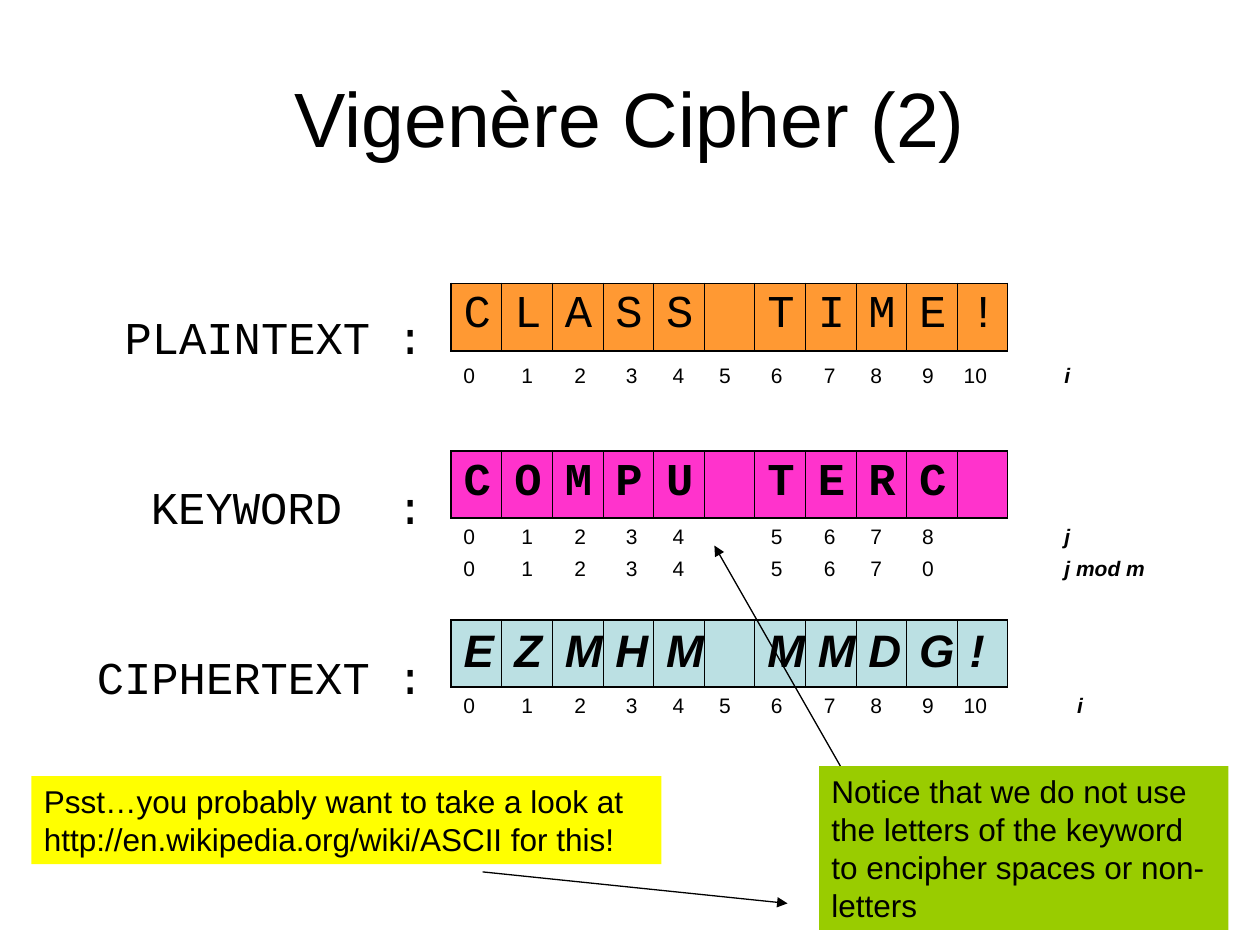
"""Build the Vigenère cipher slide with its letter tables, indices and notes."""
from lxml.etree import SubElement
from pptx import Presentation
from pptx.dml.color import RGBColor
from pptx.enum.shapes import MSO_CONNECTOR, MSO_SHAPE
from pptx.enum.text import MSO_ANCHOR, PP_ALIGN
from pptx.oxml.ns import qn
from pptx.util import Inches, Pt

COLORS = {
    "text": "000000",
    "plaintext": "FF9933",
    "keyword": "FF33CC",
    "ciphertext": "BBE0E3",
    "notice": "99CC00",
    "hint": "FFFF00",
}
COLUMN_COUNT = 11
TABLE_LEFT, TABLE_WIDTH, TABLE_HEIGHT = 3.58, 4.42, 0.53


def style_font(font, size, name="Arial", bold=False, italic=False):
    font.size, font.name, font.bold, font.italic = Pt(size), name, bold, italic
    font.color.rgb = RGBColor.from_string(COLORS["text"])


def add_tab_stops(paragraph, positions):
    tab_list = SubElement(paragraph._p.get_or_add_pPr(), qn("a:tabLst"))
    for position in positions:
        SubElement(tab_list, qn("a:tab"), pos=str(Inches(position)), algn="l")


presentation = Presentation()
presentation.slide_width, presentation.slide_height = Inches(10), Inches(7.5)
slide = presentation.slides.add_slide(presentation.slide_layouts[6])

title = slide.shapes.add_textbox(Inches(0.5), Inches(0.3), Inches(9), Inches(1.25))
title.text_frame.word_wrap = True
title.text_frame.vertical_anchor = MSO_ANCHOR.MIDDLE
paragraph = title.text_frame.paragraphs[0]
paragraph.text = "Vigenère Cipher (2)"
paragraph.alignment = PP_ALIGN.CENTER
style_font(paragraph.font, 44)

letter_rows = [
    ("ciphertext", 4.92, "EZMHM MMDG!", "Arial", True, True),
    ("keyword", 3.58, "COMPU TERC ", "Courier New", True, False),
    ("plaintext", 2.25, "CLASS TIME!", "Courier New", False, False),
]
for color, top, letters, font_name, bold, italic in letter_rows:
    table = slide.shapes.add_table(
        1, COLUMN_COUNT, Inches(TABLE_LEFT), Inches(top), Inches(TABLE_WIDTH), Inches(TABLE_HEIGHT)
    ).table
    table.first_row = table.horz_banding = False
    for index, letter in enumerate(letters):
        table.columns[index].width = Inches(TABLE_WIDTH / COLUMN_COUNT)
        cell = table.cell(0, index)
        paragraph = cell.text_frame.paragraphs[0]
        paragraph.text = letter.strip()
        style_font(paragraph.font, 26, font_name, bold, italic)
        borders = {
            "a:lnL": 1.08 if index == 0 else 0.45,
            "a:lnR": 1.08 if index == COLUMN_COUNT - 1 else 0.45,
            "a:lnT": 1.08,
            "a:lnB": 1.08,
        }
        for tag, width in borders.items():
            border = SubElement(cell._tc.get_or_add_tcPr(), qn(tag), w=str(Pt(width)))
            SubElement(SubElement(border, qn("a:solidFill")), qn("a:srgbClr"), val=COLORS["text"])
        cell.fill.solid()
        cell.fill.fore_color.rgb = RGBColor.from_string(COLORS[color])

labels = slide.shapes.add_textbox(Inches(0.67), Inches(2.33), Inches(8.67), Inches(3.17))
labels.text_frame.word_wrap = True
labels.text_frame.margin_top = Inches(0.12)
for index, label in enumerate(["\tPLAINTEXT\t:", "\t\tKEYWORD\t:", "CIPHERTEXT\t:"]):
    paragraph = labels.text_frame.add_paragraph() if index else labels.text_frame.paragraphs[0]
    paragraph.text = label
    paragraph.space_before = Pt(66 if index else 0)
    add_tab_stops(paragraph, [0.22, 0.43, 2.38])
    style_font(paragraph.font, 26, "Courier New")

arrows = [((6.67, 6.08), (5.67, 4.33)), ((3.83, 6.92), (6.25, 7.17))]
for start, end in arrows:
    arrow = slide.shapes.add_connector(
        MSO_CONNECTOR.STRAIGHT, *[Inches(value) for value in start + end]
    )
    arrow.line.color.rgb = RGBColor.from_string(COLORS["text"])
    arrow.line.width = Pt(0.75)
    SubElement(arrow.line._get_or_add_ln(), qn("a:tailEnd"), type="triangle")
    SubElement(arrow._element.spPr, qn("a:effectLst"))

notes = [
    ("notice", 6.5, 6.08, 3.25, 1.3,
     "Notice that we do not use the letters of the keyword to encipher spaces or non-letters"),
    ("hint", 0.25, 6.16, 5, 0.7,
     "Psst…you probably want to take a look at http://en.wikipedia.org/wiki/ASCII for this!"),
]
for color, left, top, width, height, text in notes:
    note = slide.shapes.add_shape(
        MSO_SHAPE.RECTANGLE, Inches(left), Inches(top), Inches(width), Inches(height)
    )
    note.shadow.inherit = False
    note.fill.solid()
    note.fill.fore_color.rgb = RGBColor.from_string(COLORS[color])
    note.line.fill.background()
    note.text_frame.word_wrap = True
    note.text_frame.vertical_anchor = MSO_ANCHOR.TOP
    paragraph = note.text_frame.paragraphs[0]
    paragraph.text = text
    paragraph.alignment = PP_ALIGN.LEFT
    style_font(paragraph.font, 18)

index_stops = [0.46, 0.88, 1.29, 1.66, 2.03, 2.44, 2.86, 3.23, 3.64, 3.97]
all_positions = [str(number) for number in range(COLUMN_COUNT)]
index_rows = [
    (2.83, all_positions, "i", 4.77),
    (4.11, [*"01234", "", *"5678", ""], "j", 4.77),
    (4.36, [*"01234", "", *"5670", ""], "j mod m", 4.77),
    (5.45, all_positions, "i", 4.87),
]
for top, numbers, variable, variable_stop in index_rows:
    box = slide.shapes.add_textbox(Inches(TABLE_LEFT), Inches(top), Inches(5.67), Inches(0.3))
    box.text_frame.word_wrap = True
    paragraph = box.text_frame.paragraphs[0]
    add_tab_stops(paragraph, index_stops + [variable_stop])
    number_run = paragraph.add_run()
    number_run.text = "\t".join(numbers) + "\t"
    style_font(number_run.font, 12)
    variable_run = paragraph.add_run()
    variable_run.text = variable
    style_font(variable_run.font, 12, bold=True, italic=True)

presentation.save("out.pptx")
